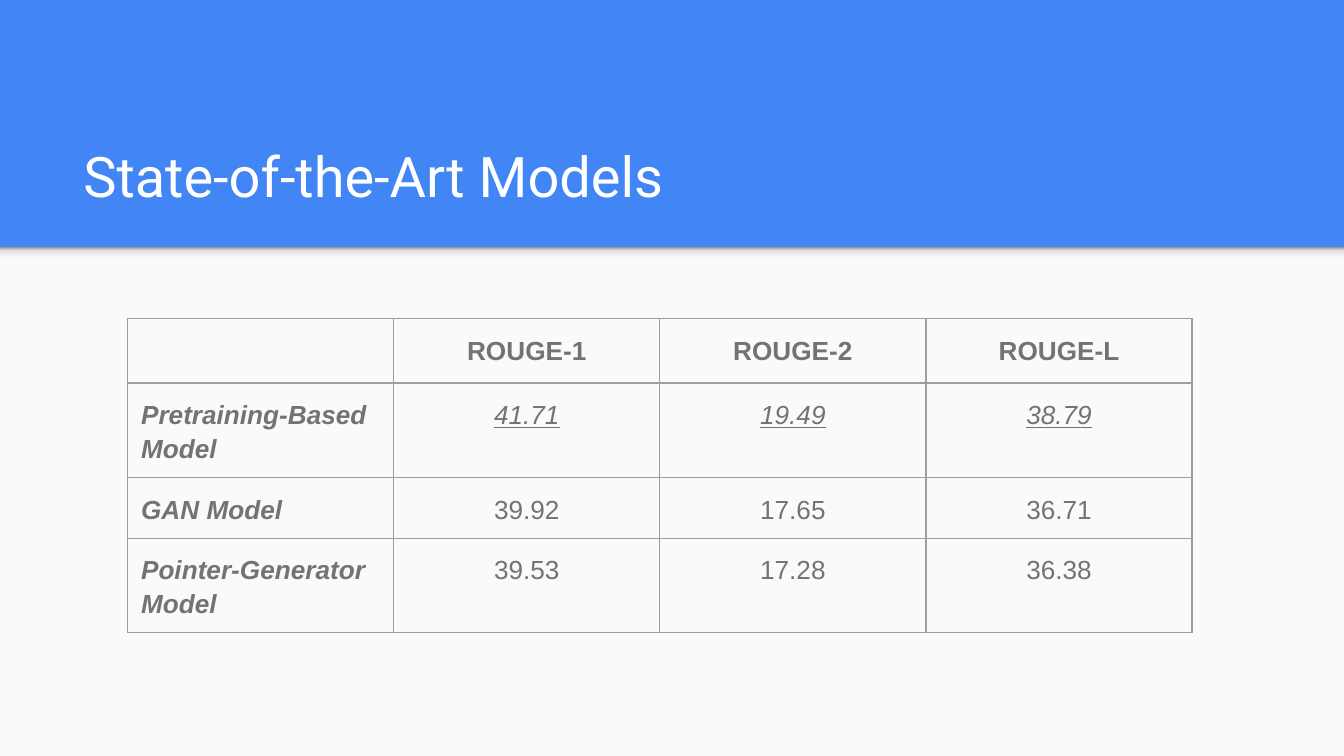
from copy import deepcopy
from pptx import Presentation
from pptx.dml.color import RGBColor
from pptx.enum.shapes import MSO_SHAPE
from pptx.enum.text import MSO_ANCHOR, MSO_AUTO_SIZE, PP_ALIGN
from pptx.oxml import parse_xml
from pptx.oxml.ns import nsdecls, qn
from pptx.util import Inches, Pt

RECT = MSO_SHAPE.RECTANGLE
BOTTOM, FIXED = MSO_ANCHOR.BOTTOM, MSO_AUTO_SIZE.NONE
LEFT, CENTER = PP_ALIGN.LEFT, PP_ALIGN.CENTER
BLUE = RGBColor(0x42, 0x85, 0xF4)
PAPER = RGBColor(0xFA, 0xFA, 0xFA)
WHITE = RGBColor(0xFF, 0xFF, 0xFF)
GRAY = RGBColor(0x73, 0x73, 0x73)
EDGE = RGBColor(0x9E, 0x9E, 0x9E)
PALE = RGBColor(0xF9, 0xF9, 0xF9)
SHADE = [(0, PALE), (0.36, PALE), (0.8, RGBColor(0xDE, 0xDE, 0xDE)),
         (1, RGBColor(0x99, 0x99, 0x99))]

TITLE = "State-of-the-Art Models"
ROWS = [
    ("", "ROUGE-1", "ROUGE-2", "ROUGE-L"),
    ("Pretraining-Based Model", "41.71", "19.49", "38.79"),
    ("GAN Model", "39.92", "17.65", "36.71"),
    ("Pointer-Generator Model", "39.53", "17.28", "36.38"),
]
BEST = 1
WIDE = 10
HIGH = WIDE * 9 / 16
SPLIT = 1.84
COL = 1.98
TALLS = [0.48, 0.7, 0.45, 0.7]
PAD = Inches(0.1)


def write(frame, text, size=14, font="Arial", color=GRAY, align=CENTER,
          space=1.15, bold=False, slant=False, under=False):
    para = frame.paragraphs[0]
    para.alignment, para.line_spacing = align, space
    run = para.add_run()
    run.text = text
    face = run.font
    face.size, face.name, face.color.rgb = Pt(size), font, color
    face.bold, face.italic, face.underline = bold, slant, under


def pad(box):
    box.margin_left = box.margin_right = PAD
    box.margin_top = box.margin_bottom = PAD


def add_band(slide, high):
    band = slide.shapes.add_shape(
        RECT, 0, Inches(SPLIT), Inches(WIDE), Inches(high))
    band.shadow.inherit = False
    band.line.fill.background()
    return band


def fade(shape):
    fill = shape.fill
    fill.gradient()
    fill.gradient_angle = 90
    stops = next(shape._element.iter(qn("a:gsLst")))
    while len(stops) < len(SHADE):
        stops.append(deepcopy(stops[0]))
    for stop, (place, color) in zip(fill.gradient_stops, SHADE):
        stop.position, stop.color.rgb = place, color


def edge(cell):
    props = cell._tc.get_or_add_tcPr()
    for side in "LRTB":
        props.append(parse_xml(
            f'<a:ln{side} {nsdecls("a")} w="{Pt(0.75)}"><a:solidFill>'
            f'<a:srgbClr val="{EDGE}"/></a:solidFill></a:ln{side}>'))
    cell.fill.background()


def add_grid(slide):
    count = len(ROWS[0])
    table = slide.shapes.add_table(
        len(ROWS), count, Inches(0.95), Inches(2.37),
        Inches(COL * count), Inches(sum(TALLS))).table
    table.first_row = table.horz_banding = False
    for col in table.columns:
        col.width = Inches(COL)
    for r, (row, tall) in enumerate(zip(ROWS, TALLS)):
        table.rows[r].height = Inches(tall)
        for c, text in enumerate(row):
            cell = table.cell(r, c)
            edge(cell)
            if text:
                pad(cell)
                write(cell.text_frame, text, align=CENTER if c else LEFT,
                      bold=r == 0 or c == 0,
                      slant=r > 0 and (c == 0 or r == BEST),
                      under=r == BEST and c > 0)


def add_title(slide):
    title = slide.shapes.title
    title.left, title.top = Inches(0.52), Inches(0.81)
    title.width, title.height = Inches(8.99), Inches(0.84)
    frame = title.text_frame
    frame.auto_size, frame.vertical_anchor = FIXED, BOTTOM
    pad(frame)
    write(frame, TITLE, size=30, font="Roboto", color=WHITE,
          align=LEFT, space=1.0)


def main():
    deck = Presentation()
    deck.slide_width, deck.slide_height = Inches(WIDE), Inches(HIGH)
    slide = deck.slides.add_slide(deck.slide_layouts[5])
    back = slide.background.fill
    back.solid()
    back.fore_color.rgb = BLUE
    panel = add_band(slide, HIGH - SPLIT)
    panel.fill.solid()
    panel.fill.fore_color.rgb = PAPER
    fade(add_band(slide, 0.12))
    add_grid(slide)
    add_title(slide)
    deck.save("out.pptx")


if __name__ == "__main__":
    main()
